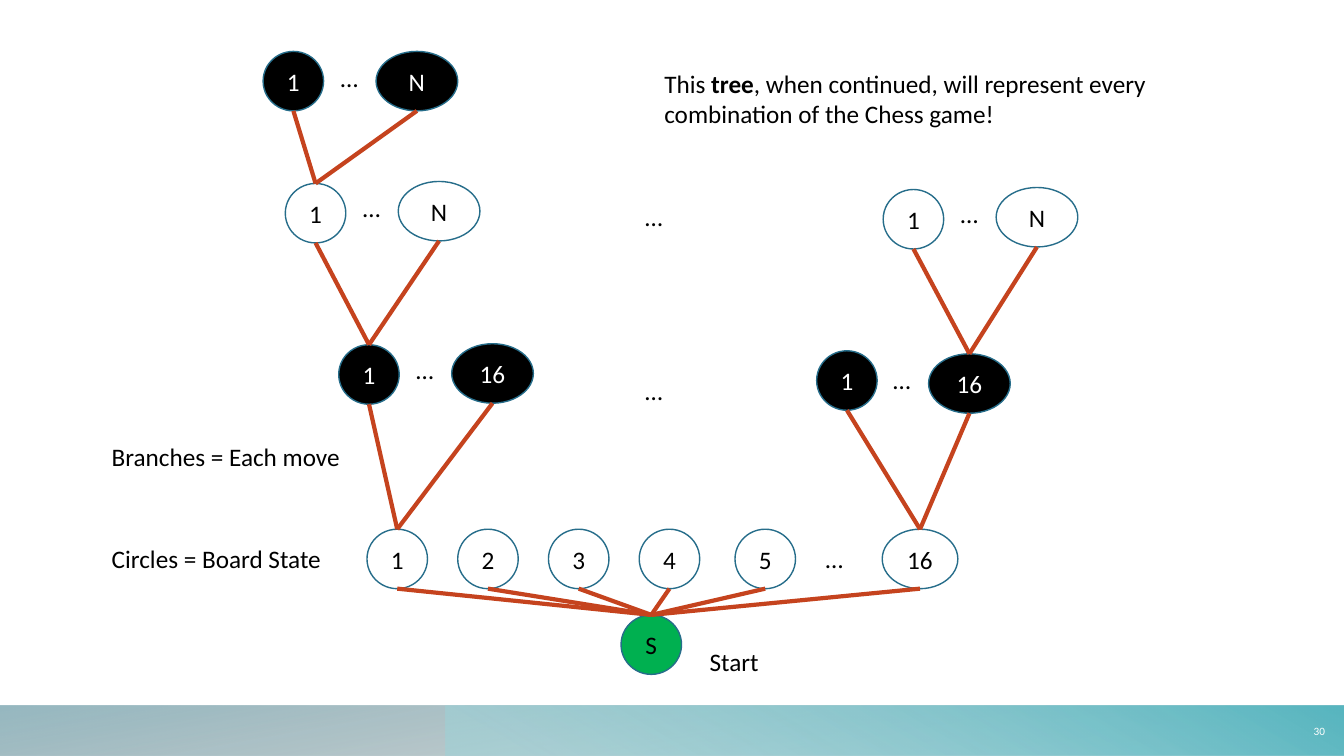
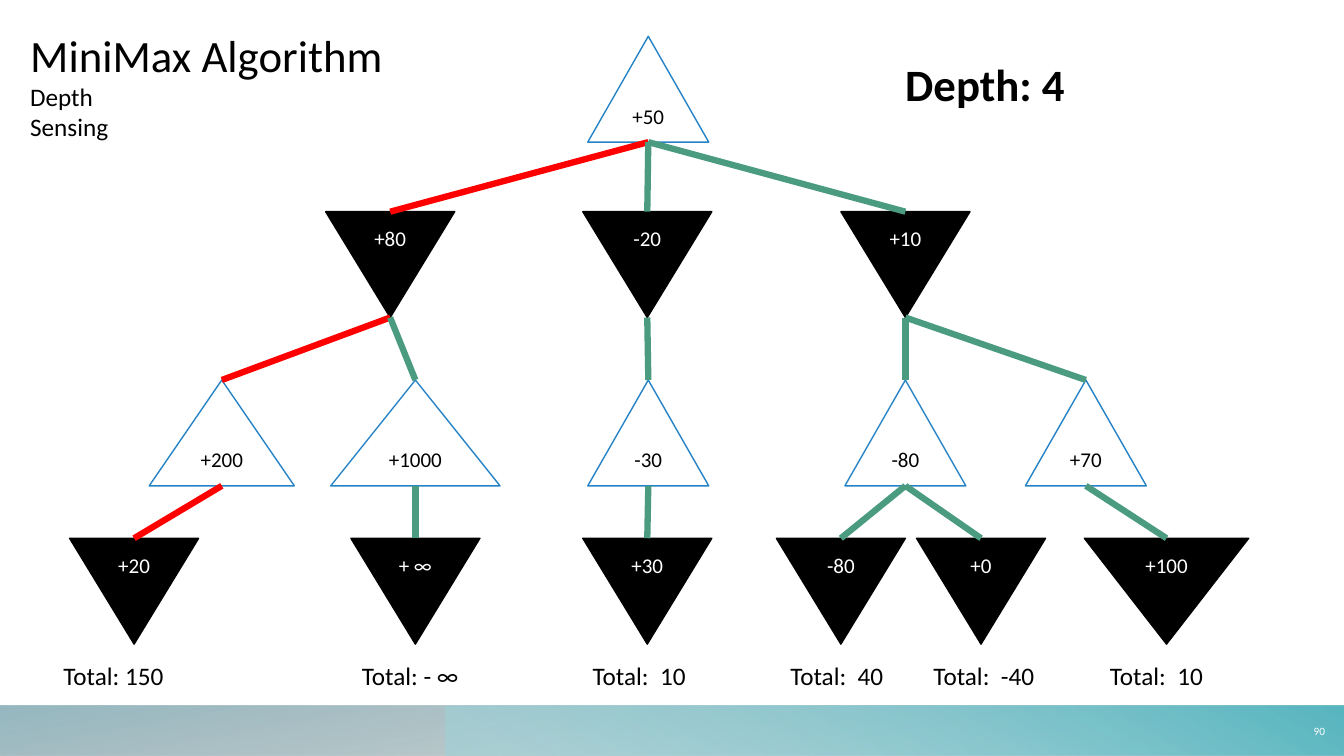
from dataclasses import dataclass

from lxml.etree import SubElement
from pptx import Presentation
from pptx.dml.color import RGBColor
from pptx.enum.shapes import MSO_CONNECTOR, MSO_SHAPE
from pptx.enum.text import MSO_ANCHOR, MSO_AUTO_SIZE, PP_ALIGN
from pptx.oxml.ns import qn
from pptx.util import Inches, Pt

FONT = "Calibri"
COLOURS = {
    "black": "000000",
    "white": "FFFFFF",
    "start": "00B050",
    "circle_edge": "266D8A",
    "triangle_edge": "2683C6",
    "move": "C5431E",
    "best": "FF0000",
    "option": "4A9B80",
    "grey": "7A8C8E",
    "slate": "84ACB6",
    "aqua": "9BD3D9",
    "teal": "58B6C0",
}
TITLE_ONLY, BLANK = 5, 6
CIRCLE, OVAL, NODE_HEIGHT = 0.6, 0.81, 0.59
ROW_TOPS = (0.36, 2.1, 3.77, 5.34)
TRIANGLE_HEIGHT = 1.05


@dataclass
class Position:
    """A board position in the minimax tree, with the replies to it."""

    value: str
    centre: float
    replies: tuple = ()
    width: float = 0
    best: bool = False
    total: str = ""
    total_left: float = 0
    total_width: float = 1.24


MINIMAX = Position("+50", 6.43, (
    Position("+80", 3.87, (
        Position("+200", 2.2, (
            Position("+20", 1.33, best=True, total="Total: 150",
                     total_left=0.53, total_width=1.32),
        ), width=1.44, best=True),
        Position("+1000", 4.12, (
            Position("+ ∞", 4.12, total="Total: - ∞",
                     total_left=3.49, total_width=1.21),
        ), width=1.68),
    ), best=True),
    Position("-20", 6.42, (
        Position("-30", 6.43, (
            Position("+30", 6.42, total="Total:  10", total_left=5.78),
        )),
    )),
    Position("+10", 8.98, (
        Position("-80", 8.98, (
            Position("-80", 8.34, total="Total:  40", total_left=7.74),
            Position("+0", 9.73, total="Total:  -40",
                     total_left=9.16, total_width=1.32),
        )),
        Position("+70", 10.77, (
            Position("+100", 11.57, width=1.63, total="Total:  10",
                     total_left=10.91),
        )),
    )),
))


def rgb(name):
    """Return the named colour."""
    return RGBColor.from_string(COLOURS[name])


def box(left, top, width, height):
    """Return a position and size in inches."""
    return [Inches(value) for value in (left, top, width, height)]


def style(paragraph, size, colour="black", bold=False, align=PP_ALIGN.LEFT):
    """Set the font and alignment of a paragraph."""
    paragraph.alignment = align
    font = paragraph.font
    font.name, font.size, font.bold = FONT, Pt(size), bold
    font.color.rgb = rgb(colour)


def add_band(slide, left, stops, angle, rotation=0):
    """Draw a mirrored gradient band and move it to the slide master."""
    band = slide.shapes.add_shape(
        MSO_SHAPE.RECTANGLE, *box(left, 7, 13.33 - left, 0.5))
    band.shadow.inherit = False
    band.line.fill.background()
    band.rotation = rotation
    band.element.spPr.find(qn("a:xfrm")).set("flipH", "1")
    band.fill.gradient()
    band.fill.gradient_angle = 360 - angle
    for stop, (position, colour, _) in zip(band.fill.gradient_stops, stops):
        stop.position = position
        stop.color.rgb = rgb(colour)
    tints = band.element.spPr.iter(qn("a:srgbClr"))
    for tint, (_, _, opacity) in zip(list(tints), stops):
        SubElement(tint, qn("a:alpha")).set("val", str(opacity * 1000))
    master = slide.slide_layout.slide_master
    master.shapes.element.append(band.element)


def add_bands(slide):
    """Put the two footer bands on the master shared by all slides."""
    add_band(slide, 0, ((0.14, "grey", 28), (1, "slate", 85)), 100, 180)
    add_band(slide, 4.42, ((0.09, "aqua", 55), (0.99, "teal", 100)), 240)


def add_caption(slide, text, left, top, width, height=0.4, size=18,
                bold=False, wrap=False):
    """Add a text box and return its paragraph."""
    frame = slide.shapes.add_textbox(*box(left, top, width, height)).text_frame
    frame.word_wrap = wrap
    frame.auto_size = MSO_AUTO_SIZE.SHAPE_TO_FIT_TEXT
    paragraph = frame.paragraphs[0]
    paragraph.text = text
    style(paragraph, size, bold=bold)
    return paragraph


def add_page_number(slide, number):
    """Add the page number in the footer band."""
    frame = slide.shapes.add_textbox(*box(12.76, 7.01, 0.48, 0.49)).text_frame
    frame.word_wrap = True
    frame.vertical_anchor = MSO_ANCHOR.MIDDLE
    frame.text = number
    frame.paragraphs[0].space_after = Pt(6)
    style(frame.paragraphs[0], 8, "white", align=PP_ALIGN.RIGHT)


def add_title(slide, text):
    """Place and format the title placeholder."""
    title = slide.shapes.title
    title.left, title.top, title.width, title.height = box(0.2, 0.22, 4.07, 0.64)
    frame = title.text_frame
    frame.text = text
    frame.word_wrap = True
    frame.auto_size = MSO_AUTO_SIZE.NONE
    frame.vertical_anchor = MSO_ANCHOR.TOP
    style(frame.paragraphs[0], 32)


def add_node(slide, preset, text, place, fill, edge, size):
    """Add a labelled tree node."""
    node = slide.shapes.add_shape(preset, *box(*place))
    node.shadow.inherit = False
    node.fill.solid()
    node.fill.fore_color.rgb = rgb(fill)
    node.line.color.rgb = rgb(edge)
    node.line.width = Pt(1)
    frame = node.text_frame
    frame.vertical_anchor = MSO_ANCHOR.MIDDLE
    frame.text = text
    ink = "white" if fill == "black" else "black"
    style(frame.paragraphs[0], size, ink, align=PP_ALIGN.CENTER)
    return node


def add_state(slide, text, left, top, width=CIRCLE, fill="white"):
    """Add a board state circle."""
    return add_node(slide, MSO_SHAPE.OVAL, text,
                    (left, top, width, NODE_HEIGHT), fill, "circle_edge", 18)


def add_branch(slide, upper, lower, colour, width):
    """Join the bottom of the upper node to the top of the lower node."""
    branch = slide.shapes.add_connector(
        MSO_CONNECTOR.STRAIGHT,
        upper.left + upper.width // 2, upper.top + upper.height,
        lower.left + lower.width // 2, lower.top)
    branch.line.color.rgb = rgb(colour)
    branch.line.width = Pt(width)
    SubElement(branch.element.spPr, qn("a:effectLst"))


def add_dots(slide, left, top):
    """Add an ellipsis for the states left out."""
    add_caption(slide, "…", left, top, 0.45)


def add_replies(slide, parent, last, first_at, last_at, fill):
    """Add the first and last reply above a state and return both."""
    first_state = add_state(slide, "1", *first_at, fill=fill)
    last_state = add_state(slide, last, *last_at, width=OVAL, fill=fill)
    add_dots(slide, last_at[0] - 0.45, last_at[1] + 0.06)
    for state in (first_state, last_state):
        add_branch(slide, state, parent, "move", 3)
    return first_state, last_state


def build_game_tree(slide):
    """Build the slide with the tree of chess moves."""
    start = add_state(slide, "S", 6.16, 6.1, fill="start")
    openings = [
        add_state(slide, text, left, 5.25, width)
        for text, left, width in (
            ("1", 3.64, CIRCLE), ("2", 4.54, CIRCLE), ("3", 5.44, CIRCLE),
            ("4", 6.34, CIRCLE), ("5", 7.29, CIRCLE), ("16", 8.75, 0.75))
    ]
    for opening in openings:
        add_branch(slide, opening, start, "move", 3)

    left_reply, _ = add_replies(
        slide, openings[0], "16", (3.36, 3.42), (4.48, 3.41), "black")
    _, right_reply = add_replies(
        slide, openings[-1], "16", (8.1, 3.48), (9.21, 3.51), "black")
    left_third, _ = add_replies(
        slide, left_reply, "N", (2.83, 1.82), (3.95, 1.8), "white")
    add_replies(slide, right_reply, "N", (8.76, 1.88), (9.88, 1.86), "white")
    add_replies(slide, left_third, "N", (2.61, 0.51), (3.73, 0.51), "black")

    for left, top in ((8.09, 5.34), (6.3, 3.67), (6.3, 1.95)):
        add_dots(slide, left, top)
    add_caption(slide, "Start", 6.94, 6.36, 0.72)
    add_caption(slide, "Circles = Board State", 1.01, 5.34, 2.59)
    add_caption(slide, "Branches = Each move", 1.01, 4.33, 2.8)
    remark = add_caption(slide, "This ", 6.49, 0.63, 5.55, 0.71, wrap=True)
    for text, bold in (
            ("tree", True),
            (", when continued, will represent every "
             "combination of the Chess game!", False)):
        run = remark.add_run()
        run.text = text
        run.font.bold = bold
    add_page_number(slide, "30")


def add_position(slide, position, depth=0):
    """Add a position with all replies below it and return its node."""
    if depth % 2:
        preset, fill, edge, usual = (
            MSO_SHAPE.FLOWCHART_MERGE, "black", "black", 1.28)
    else:
        preset, fill, edge, usual = (
            MSO_SHAPE.ISOSCELES_TRIANGLE, "white", "triangle_edge", 1.2)
    width = position.width or usual
    place = (position.centre - width / 2, ROW_TOPS[depth], width,
             TRIANGLE_HEIGHT)
    node = add_node(slide, preset, position.value, place, fill, edge, 15)
    for reply in position.replies:
        reply_node = add_position(slide, reply, depth + 1)
        colour = "best" if reply.best else "option"
        add_branch(slide, node, reply_node, colour, 4.5)
    if position.total:
        add_caption(slide, position.total, position.total_left, 6.5,
                    position.total_width)
    return node


def build_minimax(slide):
    """Build the slide with the minimax tree."""
    add_title(slide, "MiniMax Algorithm")
    add_caption(slide, "Depth Sensing", 0.2, 0.76, 1.65)
    add_caption(slide, "Depth: 4", 8.88, 0.51, 1.98, 0.64, 32, True)
    add_position(slide, MINIMAX)
    add_page_number(slide, "90")


def main():
    """Build and save the presentation."""
    deck = Presentation()
    deck.slide_width, deck.slide_height = Inches(13.33), Inches(7.5)
    game_tree = deck.slides.add_slide(deck.slide_layouts[BLANK])
    add_bands(game_tree)
    build_game_tree(game_tree)
    build_minimax(deck.slides.add_slide(deck.slide_layouts[TITLE_ONLY]))
    deck.save("out.pptx")


if __name__ == "__main__":
    main()
